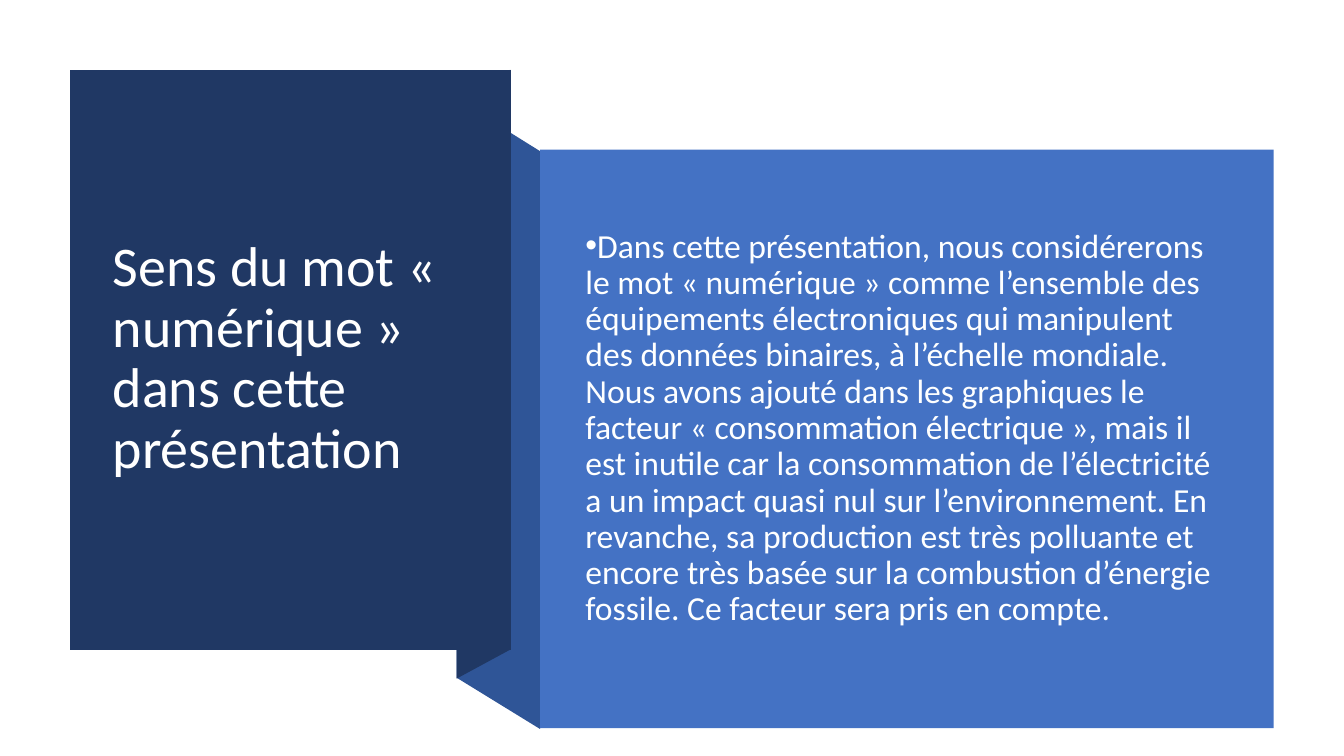
from lxml.etree import SubElement as Sub
from pptx import Presentation
from pptx.dml.color import RGBColor as Rgb
from pptx.enum.shapes import MSO_SHAPE as Shape
from pptx.enum.text import MSO_ANCHOR as Anchor, MSO_AUTO_SIZE as Fit, PP_ALIGN as Align
from pptx.oxml.ns import qn
from pptx.util import Cm, Pt


class Theme:
    font = "Calibri"
    navy = Rgb.from_string("203864")
    fold = Rgb.from_string("2F5597")
    blue = Rgb.from_string("4472C4")
    white = Rgb.from_string("FFFFFF")
    pale = Rgb.from_string("FEFFFF")
    head = Pt(40)
    body = Pt(24)


def paint(shape, color):
    shape.shadow.inherit = False
    shape.fill.solid()
    shape.fill.fore_color.rgb = color
    shape.line.fill.background()


def write(holder, box, text, size, color):
    holder.left, holder.top, holder.width, holder.height = map(Cm, box)
    frame = holder.text_frame
    frame.text = text
    frame.word_wrap = True
    frame.auto_size = Fit.NONE
    frame.vertical_anchor = Anchor.MIDDLE
    para = frame.paragraphs[0]
    para.alignment = Align.LEFT
    para.line_spacing = 0.9
    para.space_before = Pt(0)
    # Bullet only in the body
    if holder is body:
        para.space_after = Pt(6)
        props = para._p.get_or_add_pPr()
        props.set("marL", "0")
        props.set("indent", str(-Cm(0.64)))
        Sub(props, qn("a:buFont"), typeface="Arial")
        Sub(props, qn("a:buChar"), char="•")
    font = para.font
    font.name, font.size, font.bold = Theme.font, size, False
    font.color.rgb = color
    # Bring the text in front of the panels drawn so far
    slide.shapes._spTree.append(holder._element)


# Slide
deck = Presentation()
deck.slide_width, deck.slide_height = Cm(33.87), Cm(19.05)
slide = deck.slides.add_slide(deck.slide_layouts[1])
title, body = slide.placeholders

# Folded ribbon and title panel, from back to front
panels = [
    (Theme.fold, [(13.61, 18.37), (11.51, 17.08), (11.51, 2.5), (13.61, 3.81)]),
    (Theme.navy, [(12.86, 16.37), (11.51, 17.1), (11.51, 2.49), (12.86, 1.76)]),
    (Theme.navy, [(1.76, 1.77), (12.87, 1.77), (12.87, 16.38), (1.76, 16.38)]),
]
for color, points in panels:
    first, *rest = [(Cm(x), Cm(y)) for x, y in points]
    pen = slide.shapes.build_freeform(*first)
    pen.add_line_segments(rest, close=True)
    paint(pen.convert_to_shape(), color)

# Title
write(title, (2.59, 2.72, 9.42, 12.67),
      "Sens du mot « numérique » dans cette présentation", Theme.head, Theme.white)

# Body panel
panel = slide.shapes.add_shape(Shape.RECTANGLE, Cm(13.61), Cm(3.77), Cm(18.49), Cm(14.58))
paint(panel, Theme.blue)

# Body
write(body, (14.5, 4.78, 16.54, 12.04),
      "Dans cette présentation, nous considérerons le mot « numérique » comme "
      "l’ensemble des équipements électroniques qui manipulent des données binaires, "
      "à l’échelle mondiale. Nous avons ajouté dans les graphiques le facteur "
      "« consommation électrique », mais il est inutile car la consommation de "
      "l’électricité a un impact quasi nul sur l’environnement. En revanche, sa "
      "production est très polluante et encore très basée sur la combustion "
      "d’énergie fossile. Ce facteur sera pris en compte.",
      Theme.body, Theme.pale)

deck.save("out.pptx")
